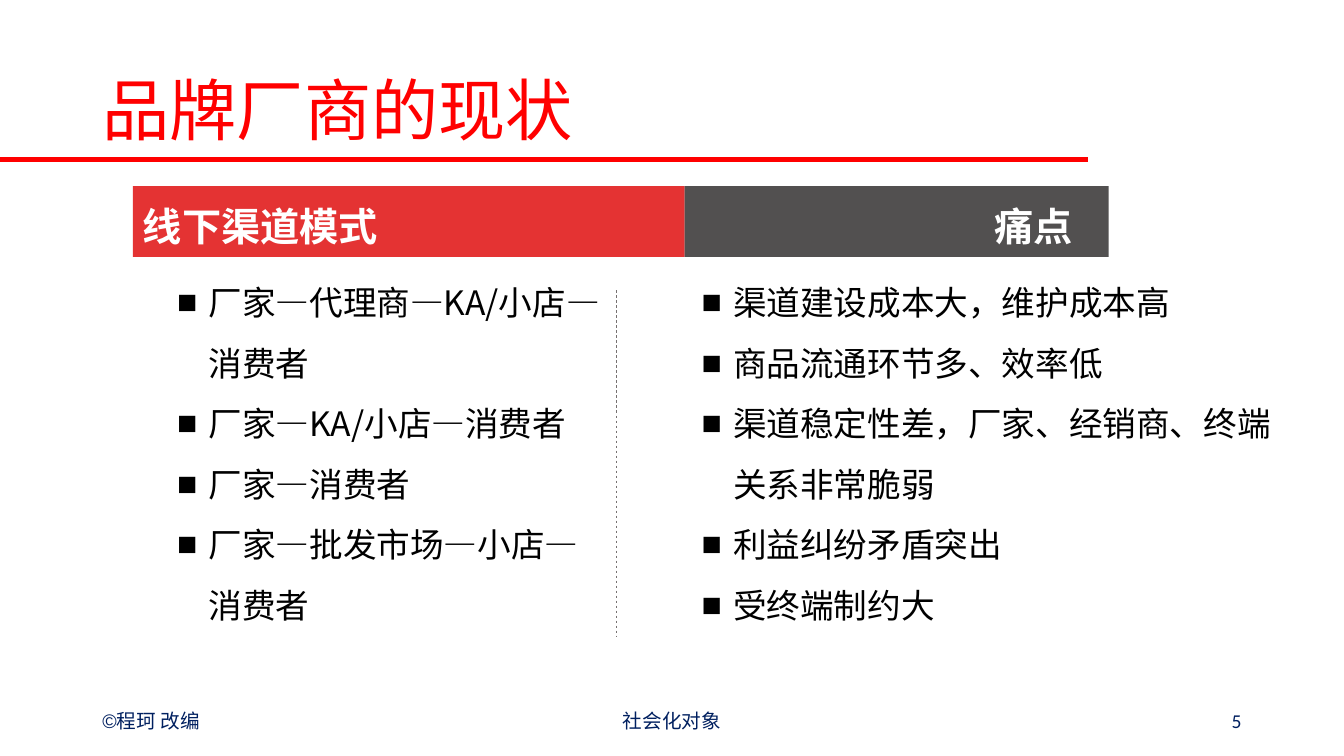
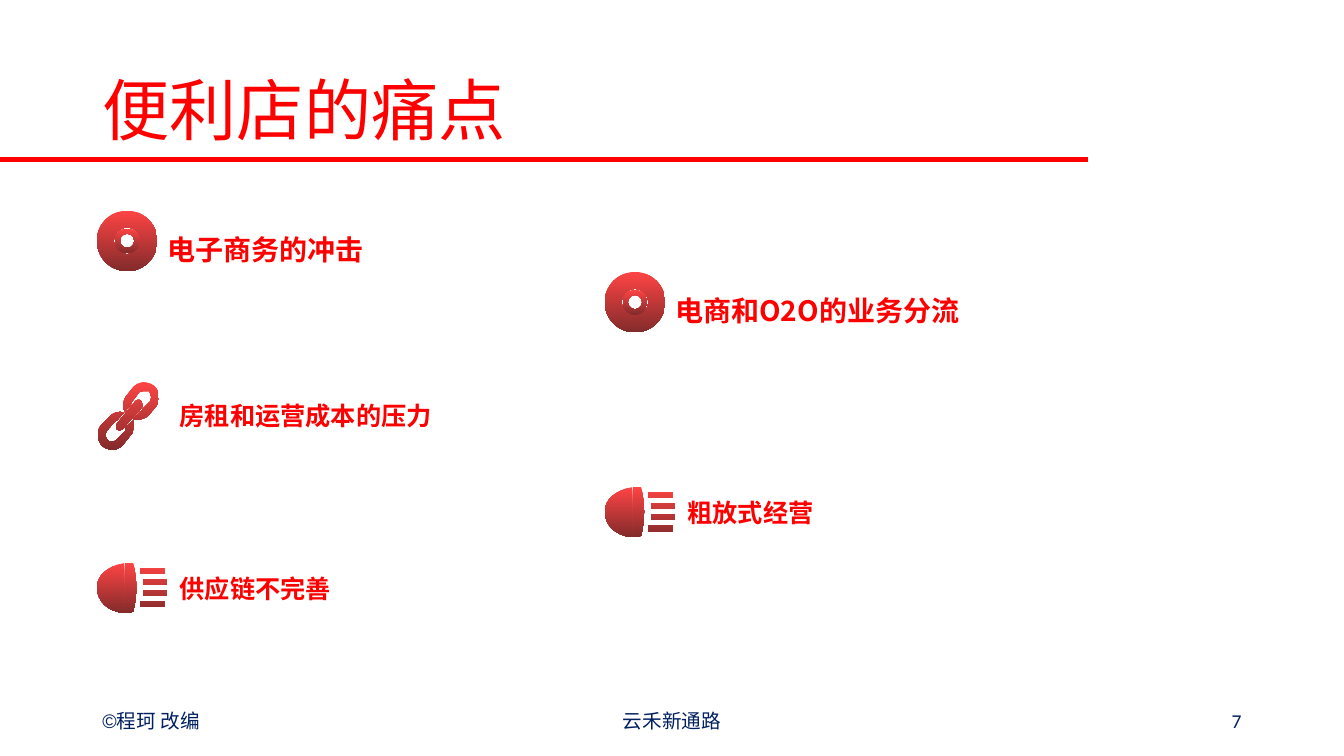
from lxml.etree import SubElement
from pptx import Presentation
from pptx.dml.color import RGBColor
from pptx.enum.dml import MSO_LINE
from pptx.enum.shapes import MSO_CONNECTOR, MSO_SHAPE
from pptx.enum.text import MSO_ANCHOR as ANCHOR, MSO_AUTO_SIZE, PP_ALIGN as ALIGN
from pptx.oxml.ns import qn
from pptx.util import Pt

COLOURS = {
    "red": "FF0000", "band_red": "E43333", "band_grey": "3B3838",
    "white": "FFFFFF", "black": "000000", "navy": "002060",
    "divider": "767171", "icon_top": "FE4444", "icon_bottom": "832B2B",
}
CJK = "Noto Sans CJK SC"
UNIT = 0.72  # points per unit of the icon outlines

# Outlines: a pair is a straight step, six numbers are a Bezier curve
CHAIN = [
    [(36, 38), (36, 40, 36, 42, 36, 43), (36, 47, 36, 51, 33, 53), (26, 62),
     (23, 65, 20, 67, 16, 67), (12, 67, 9, 66, 5, 63), (3, 60, 1, 57, 1, 53),
     (0, 50, 2, 46, 4, 43), (12, 35), (14, 32, 18, 30, 21, 30),
     (23, 29, 25, 30, 27, 30), (20, 38), (19, 38, 18, 39, 17, 40), (10, 48),
     (9, 50, 8, 52, 8, 52), (9, 54, 9, 56, 11, 58), (12, 59, 14, 59, 15, 59),
     (17, 59, 19, 58, 20, 57), (28, 49), (28, 48, 28, 47, 28, 45)],
    [(57, 4), (53, 1, 50, 0, 46, 0), (43, 0, 39, 2, 36, 5), (29, 14),
     (27, 17, 26, 20, 26, 24), (26, 26, 27, 28, 28, 29), (34, 22),
     (34, 21, 35, 19, 36, 18), (42, 10), (44, 9, 45, 9, 47, 9),
     (49, 9, 50, 9, 52, 9), (53, 11, 53, 13, 54, 15), (54, 16, 53, 17, 53, 19),
     (45, 27), (45, 28, 44, 29, 43, 29), (36, 37), (37, 37, 39, 38, 41, 37),
     (45, 37, 49, 35, 51, 33), (58, 25), (61, 21, 62, 17, 61, 14),
     (61, 10, 60, 7, 57, 4)],
    [(44, 19), (43, 17, 40, 17, 38, 19), (20, 41), (19, 43, 19, 45, 20, 47),
     (22, 48, 24, 48, 26, 46), (45, 25), (45, 23, 45, 20, 44, 19)],
]
LAMP = [
    [(27, 49.5), (10, 48, 0, 37, 0, 24), (0, 13, 10, 3, 27, 0)],
    [(36, 0), (40, 16, 40, 33, 36, 48), (33, 49.5, 30, 49.5, 28, 49.5), (28, 0)],
] + [
    [(x, y), (x + 24, y), (x + 24, y + 5.5), (x, y + 5.5)]
    for x, y in ((43, 5), (46, 16), (46, 27), (43, 38))
]


def flatten(contour, steps=8):
    """Turn an outline of lines and curves into a list of points."""
    points = [contour[0]]
    for step in contour[1:]:
        if len(step) == 2:
            points.append(step)
            continue
        ends = [points[-1], step[:2], step[2:4], step[4:]]
        for i in range(1, steps + 1):
            t = i / steps
            weights = ((1 - t) ** 3, 3 * t * (1 - t) ** 2, 3 * t * t * (1 - t), t ** 3)
            points.append(tuple(sum(w * p[axis] for w, p in zip(weights, ends))
                                for axis in (0, 1)))
    return points


class Deck:
    """Holds the style and the current page."""

    def __init__(self):
        self.file = Presentation()
        self.file.slide_width, self.file.slide_height = Pt(960), Pt(540)
        self.page = None

    @staticmethod
    def rgb(name):
        return RGBColor.from_string(COLOURS[name])

    def set_text(self, shape, lines, size, colour, name=CJK, bold=False, align=ALIGN.LEFT,
                 spacing=1.0, anchor=ANCHOR.MIDDLE, bullet=False, **margins):
        frame = shape.text_frame
        settings = {"word_wrap": True, "auto_size": MSO_AUTO_SIZE.NONE,
                    "vertical_anchor": anchor, **margins}
        for key, value in settings.items():
            setattr(frame, key, value)
        for i, line in enumerate(lines):
            para = frame.add_paragraph() if i else frame.paragraphs[0]
            para.alignment, para.line_spacing = align, spacing
            if bullet:
                self.bullet(para)
            span = para.add_run()
            span.text = line
            for key, value in {"size": Pt(size), "bold": bold, "name": name}.items():
                setattr(span.font, key, value)
            span.font.color.rgb = self.rgb(colour)
            SubElement(span.font._element, qn("a:ea"), typeface=CJK)

    @staticmethod
    def bullet(para):
        props = para._p.get_or_add_pPr()
        props.set("marL", str(Pt(22.5)))
        props.set("indent", str(Pt(-22.5)))
        SubElement(props, qn("a:buFont"), typeface="Arial")
        SubElement(props, qn("a:buChar"), char="■")

    def text(self, left, top, width, height, lines, size, colour, **style):
        box = self.page.shapes.add_textbox(Pt(left), Pt(top), Pt(width), Pt(height))
        self.set_text(box, lines, size, colour, **style)

    def line(self, x1, y1, x2, y2, colour, width, dash=None):
        line = self.page.shapes.add_connector(
            MSO_CONNECTOR.STRAIGHT, Pt(x1), Pt(y1), Pt(x2), Pt(y2))
        line.line.color.rgb = self.rgb(colour)
        line.line.width = Pt(width)
        if dash:
            line.line.dash_style = dash
        SubElement(line._element.spPr, qn("a:effectLst"))

    def shape(self, kind, left, top, width, height):
        shape = self.page.shapes.add_shape(kind, Pt(left), Pt(top), Pt(width), Pt(height))
        shape.shadow.inherit = False
        shape.line.fill.background()
        return shape

    def band(self, left, width, colour, label, align, opacity=None, **margins):
        band = self.shape(MSO_SHAPE.RECTANGLE, left, 133, width, 50.5)
        band.fill.solid()
        band.fill.fore_color.rgb = self.rgb(colour)
        if opacity:
            tint = band._element.spPr.find(qn("a:solidFill"))[0]
            SubElement(tint, qn("a:alpha"), val=str(opacity * 1000))
        self.set_text(band, [label], 28, "white", bold=True, align=align, spacing=1.2,
                      **margins)

    def shade(self, shape):
        shape.fill.gradient()
        shape.fill.gradient_angle = 270
        for stop, colour in zip(shape.fill.gradient_stops, ("icon_top", "icon_bottom")):
            stop.color.rgb = self.rgb(colour)

    def disc(self, left, top):
        for inset, size, ring in ((0, 43.2, 0.28), (12.75, 17.7, 0.21)):
            donut = self.shape(MSO_SHAPE.DONUT, left + inset, top + inset, size, size)
            donut.adjustments[0] = ring
            self.shade(donut)

    def outline(self, left, top, contours):
        builder = None
        for contour in contours:
            points = [(Pt(left + x * UNIT), Pt(top + y * UNIT)) for x, y in flatten(contour)]
            if builder is None:
                builder = self.page.shapes.build_freeform(*points[0], scale=1.0)
            else:
                builder.move_to(*points[0])
            builder.add_line_segments(points[1:], close=True)
        icon = builder.convert_to_shape()
        icon.shadow.inherit = False
        icon.line.fill.background()
        self.shade(icon)

    def new_page(self, heading, footer, number):
        self.page = self.file.slides.add_slide(self.file.slide_layouts[5])
        # Title and rule
        title = self.page.shapes.title
        place = {"left": 66, "top": 29, "width": 828, "height": 104}
        for key, value in place.items():
            setattr(title, key, Pt(value))
        self.set_text(title, [heading], 48, "red", spacing=0.9)
        self.line(0, 114, 777, 114, "red", 3)
        # Footers
        for left, width, label, font, align in (
                (66, 216, "©程珂 改编", "Arial", ALIGN.LEFT),
                (318, 324, footer, "Calibri", ALIGN.CENTER),
                (678, 216, number, "Calibri", ALIGN.RIGHT)):
            self.text(left, 500.5, width, 29, [label], 14, "navy", name=font, align=align)


def channels_page(deck):
    deck.new_page("品牌厂商的现状", "社会化对象", "5")
    # Heading bands
    deck.band(95, 394, "band_red", "线下渠道模式", ALIGN.LEFT)
    deck.band(489, 303, "band_grey", "痛点", ALIGN.RIGHT, opacity=88, margin_right=Pt(25.5))
    # Lists
    for left, width, lines in (
            (119.5, 321, ["厂家—代理商—KA/小店—消费者", "厂家—KA/小店—消费者",
                          "厂家—消费者", "厂家—批发市场—小店—消费者"]),
            (494, 428.5, ["渠道建设成本大，维护成本高", "商品流通环节多、效率低",
                          "渠道稳定性差，厂家、经销商、终端关系非常脆弱",
                          "利益纠纷矛盾突出", "受终端制约大"])):
        deck.text(left, 183.5, width, 298, lines, 24, "black", spacing=1.5,
                  anchor=ANCHOR.TOP, bullet=True)
    deck.line(440.5, 207.5, 440.5, 455, "divider", 0.5, MSO_LINE.DASH)


def pains_page(deck):
    deck.new_page("便利店的痛点", "云禾新通路", "7")
    # Icons with labels centred beside them: outline, height, label offset, size, spacing
    disc = (None, 43.2, 43.2, 20, 1.5)
    chain = (CHAIN, 48, 52, 18, 1.0)
    lamp = (LAMP, 36, 52, 18, 1.0)
    for left, top, kind, label in (
            (69.25, 150.5, disc, "电子商务的冲击"),
            (69.25, 273, chain, "房租和运营成本的压力"),
            (69.25, 402.25, lamp, "供应链不完善"),
            (432, 194.25, disc, "电商和O2O的业务分流"),
            (432, 348, lamp, "粗放式经营")):
        contours, height, offset, size, spacing = kind
        if contours:
            deck.outline(left, top, contours)
        else:
            deck.disc(left, top)
        deck.text(left + offset, top, 261, height, [label], size, "red",
                  bold=True, spacing=spacing)


def main():
    deck = Deck()
    channels_page(deck)
    pains_page(deck)
    deck.file.save("out.pptx")


if __name__ == "__main__":
    main()
